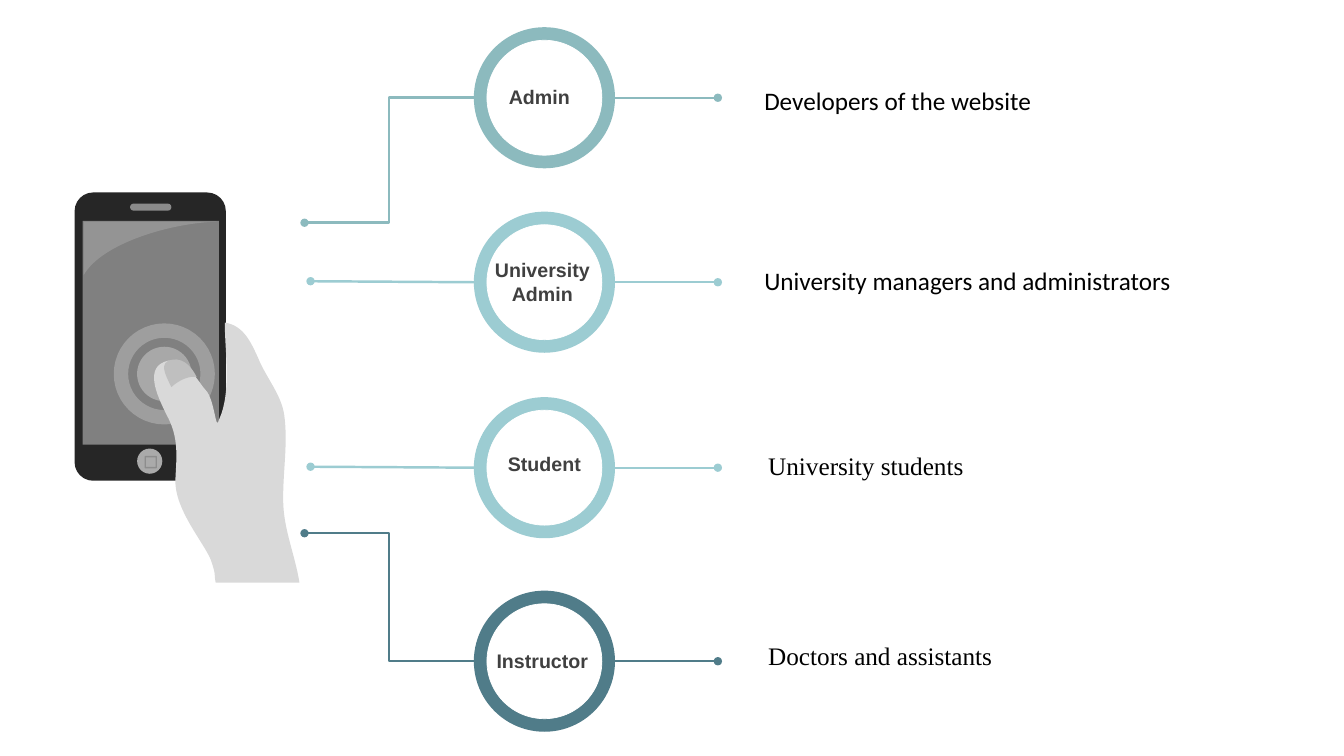
"""Build a slide that links a hand-held phone to four user roles."""
import pptx
import pptx.dml.color
import pptx.enum.shapes
import pptx.enum.text
import pptx.oxml
import pptx.oxml.ns
import pptx.util

Inches = pptx.util.Inches
Pt = pptx.util.Pt
SHAPE = pptx.enum.shapes.MSO_SHAPE
CONNECTOR = pptx.enum.shapes.MSO_CONNECTOR
ALIGN = pptx.enum.text.PP_ALIGN

RING_X, RING_SIZE, HOLE_SIZE = 5.4, 1.4, 1.14
DOT_X = 7.12
LABEL_WIDTH = 1.14

ROLES = [
    {"label": "Admin", "color": "8CBABE", "center": 0.97, "label_box": (4.78, 0.79, LABEL_WIDTH, 0.34),
     "link": (CONNECTOR.ELBOW, 3.02, 2.21), "note": "Developers of the website",
     "note_box": (6.67, 0.8, 4.18, 0.4), "font": "Calibri"},
    {"label": "University Admin", "color": "9CCCD2", "center": 2.8, "label_box": (4.81, 2.51, LABEL_WIDTH, 0.57),
     "link": (CONNECTOR.STRAIGHT, 3.08, 2.79), "note": "University managers and administrators",
     "note_box": (6.67, 2.58, 5.19, 0.4), "font": "Calibri"},
    {"label": "Student", "color": "9CCCD2", "center": 4.64, "label_box": (4.83, 4.43, LABEL_WIDTH, 0.34),
     "link": (CONNECTOR.STRAIGHT, 3.08, 4.63), "note": "University students",
     "note_box": (6.71, 4.42, 3.64, 0.4), "font": "Times New Roman"},
    {"label": "Instructor", "color": "507C89", "center": 6.56, "label_box": (4.81, 6.39, LABEL_WIDTH, 0.34),
     "link": (CONNECTOR.ELBOW, 3.02, 5.29), "note": "Doctors and assistants",
     "note_box": (6.71, 6.3, 6.6, 0.4), "font": "Times New Roman"},
]

GLARE_BOX = (0.83, 2.2, 1.32, 0.53)
GLARE = [(0.83, 2.2), (2.15, 2.2), (1.71, 2.21, 1.01, 2.41, 0.83, 2.73)]
HAND_BOX = (1.53, 3.2, 1.44, 2.58)
HAND = [
    (2.23, 3.2), (2.42, 3.23, 2.49, 3.4, 2.56, 3.55), (2.64, 3.75, 2.79, 3.91, 2.82, 4.12),
    (2.86, 4.41, 2.8, 4.71, 2.81, 5), (2.82, 5.27, 2.93, 5.52, 2.97, 5.78), (2.14, 5.78),
    (2.12, 5.69, 2.15, 5.72, 2.09, 5.55), (2.02, 5.38, 1.73, 5.05, 1.74, 4.76),
    (1.75, 4.54, 1.78, 4.34, 1.65, 4.11), (1.59, 3.98, 1.42, 3.67, 1.63, 3.59),
    (1.83, 3.51, 1.95, 3.77, 2.04, 3.87), (2.13, 3.96, 2.14, 4.29, 2.17, 4.17),
    (2.3, 3.89, 2.23, 3.5, 2.23, 3.2),
]
THUMBNAIL_BOX = (1.63, 3.57, 0.32, 0.27)
THUMBNAIL = [
    (1.7, 3.57), (1.84, 3.54, 1.92, 3.68, 1.95, 3.74),
    (1.88, 3.73, 1.79, 3.76, 1.7, 3.84), (1.63, 3.7, 1.58, 3.6, 1.7, 3.57),
]


def rgb(color):
    return pptx.dml.color.RGBColor.from_string(color)


def add_child(parent, tag, **attributes):
    child = pptx.oxml.parse_xml(f"<{tag} {pptx.oxml.ns.nsdecls('a')}/>")
    for name, value in attributes.items():
        child.set(name, str(value))
    parent.append(child)
    return child


def paint(shape, fill=None, line=None, width=0, opacity=100):
    shape.shadow.inherit = False
    for target, color in ((shape.fill, fill), (shape.line.fill, line)):
        if color:
            target.solid()
            target.fore_color.rgb = rgb(color)
        else:
            target.background()
    if line:
        shape.line.width = Pt(width)
    if opacity < 100:
        for color_element in shape._element.spPr.iter(pptx.oxml.ns.qn("a:srgbClr")):
            add_child(color_element, "a:alpha", val=opacity * 1000)


def add_preset(shapes, kind, box, corner=None, **style):
    shape = shapes.add_shape(kind, *map(Inches, box))
    if corner is not None:
        shape.adjustments[0] = corner
    paint(shape, **style)


def add_circle(shapes, center_x, center_y, size, **style):
    box = (center_x - size / 2, center_y - size / 2, size, size)
    add_preset(shapes, SHAPE.OVAL, box, **style)


def add_outline(shapes, outline, box, **style):
    corners = [(Inches(step[-2]), Inches(step[-1])) for step in outline]
    builder = shapes.build_freeform(*corners[0], scale=1.0)
    builder.add_line_segments(corners[1:], close=True)
    shape = builder.convert_to_shape()
    left, top, width, height = map(Inches, box)
    shape.left, shape.top, shape.width, shape.height = left, top, width, height
    contour = next(shape._element.spPr.iter(pptx.oxml.ns.qn("a:path")))
    for segment in list(contour):
        contour.remove(segment)
    contour.set("w", str(width))
    contour.set("h", str(height))
    for index, step in enumerate(outline):
        tag = "a:moveTo" if index == 0 else "a:lnTo" if len(step) == 2 else "a:cubicBezTo"
        segment = add_child(contour, tag)
        for x, y in zip(step[::2], step[1::2]):
            add_child(segment, "a:pt", x=Inches(x) - left, y=Inches(y) - top)
    add_child(contour, "a:close")
    paint(shape, **style)


def add_link(shapes, kind, start, end, color, width):
    connector = shapes.add_connector(kind, *map(Inches, start + end))
    connector.line.color.rgb = rgb(color)
    connector.line.width = Pt(width)
    add_child(connector.line._get_or_add_ln(), "a:headEnd", type="oval")
    add_child(connector._element.spPr, "a:effectLst")


def add_text(shapes, text, box, font, size, color, bold=False, align=ALIGN.LEFT, inset=0.05):
    frame = shapes.add_textbox(*map(Inches, box)).text_frame
    frame.word_wrap = True
    frame.margin_left = Inches(inset)
    frame.margin_right = Inches(0.05)
    paragraph = frame.paragraphs[0]
    paragraph.alignment = align
    run = paragraph.add_run()
    run.text = text
    run.font.name = font
    run.font.size = Pt(size)
    run.font.bold = bold
    run.font.color.rgb = rgb(color)


def add_phone(slide):
    phone = slide.shapes.add_group_shape().shapes
    add_preset(phone, SHAPE.ROUNDED_RECTANGLE, (0.74, 1.91, 1.5, 2.86), corner=0.123, fill="262626")
    add_preset(phone, SHAPE.RECTANGLE, (0.82, 2.19, 1.35, 2.22), fill="808080")
    add_preset(phone, SHAPE.ROUNDED_RECTANGLE, (1.29, 2.02, 0.41, 0.07), corner=0.5, fill="ECECEC", opacity=51)
    add_circle(phone, 1.485, 4.575, 0.25, fill="ECECEC", opacity=67)
    add_preset(phone, SHAPE.RECTANGLE, (1.44, 4.53, 0.11, 0.11), line="262626", width=1, opacity=22)
    add_outline(phone, GLARE, GLARE_BOX, fill="FFFFFF", opacity=16)
    touch = slide.shapes.add_group_shape().shapes
    add_circle(touch, 1.63, 3.71, 0.54, fill="FFFFFF", opacity=32)
    add_circle(touch, 1.63, 3.71, 0.86, line="FFFFFF", width=10.25, opacity=24)
    hand = slide.shapes.add_group_shape().shapes
    add_outline(hand, HAND, HAND_BOX, fill="D9D9D9")
    add_outline(hand, THUMBNAIL, THUMBNAIL_BOX, fill="BFBFBF")


def add_role(slide, role):
    shapes, color, center = slide.shapes, role["color"], role["center"]
    kind, link_x, link_y = role["link"]
    add_link(shapes, kind, (link_x, link_y), (RING_X - RING_SIZE / 2, center), color, 1.75)
    add_link(shapes, CONNECTOR.STRAIGHT, (DOT_X, center), (RING_X + RING_SIZE / 2, center), color, 1.5)
    ring = shapes.add_group_shape().shapes
    add_circle(ring, RING_X, center, RING_SIZE, fill=color)
    add_circle(ring, RING_X, center, HOLE_SIZE, fill="FFFFFF", line="FFFFFF", width=0.5)
    add_text(shapes, role["label"], role["label_box"], "Arial", 14, "404040", bold=True, align=ALIGN.CENTER)
    add_text(shapes, role["note"], role["note_box"], role["font"], 18, "000000", inset=0.91)


def main():
    presentation = pptx.Presentation()
    presentation.slide_width = Inches(13.33)
    presentation.slide_height = Inches(7.5)
    slide = presentation.slides.add_slide(presentation.slide_layouts[6])
    add_phone(slide)
    for role in ROLES:
        add_role(slide, role)
    presentation.save("out.pptx")


if __name__ == "__main__":
    main()
